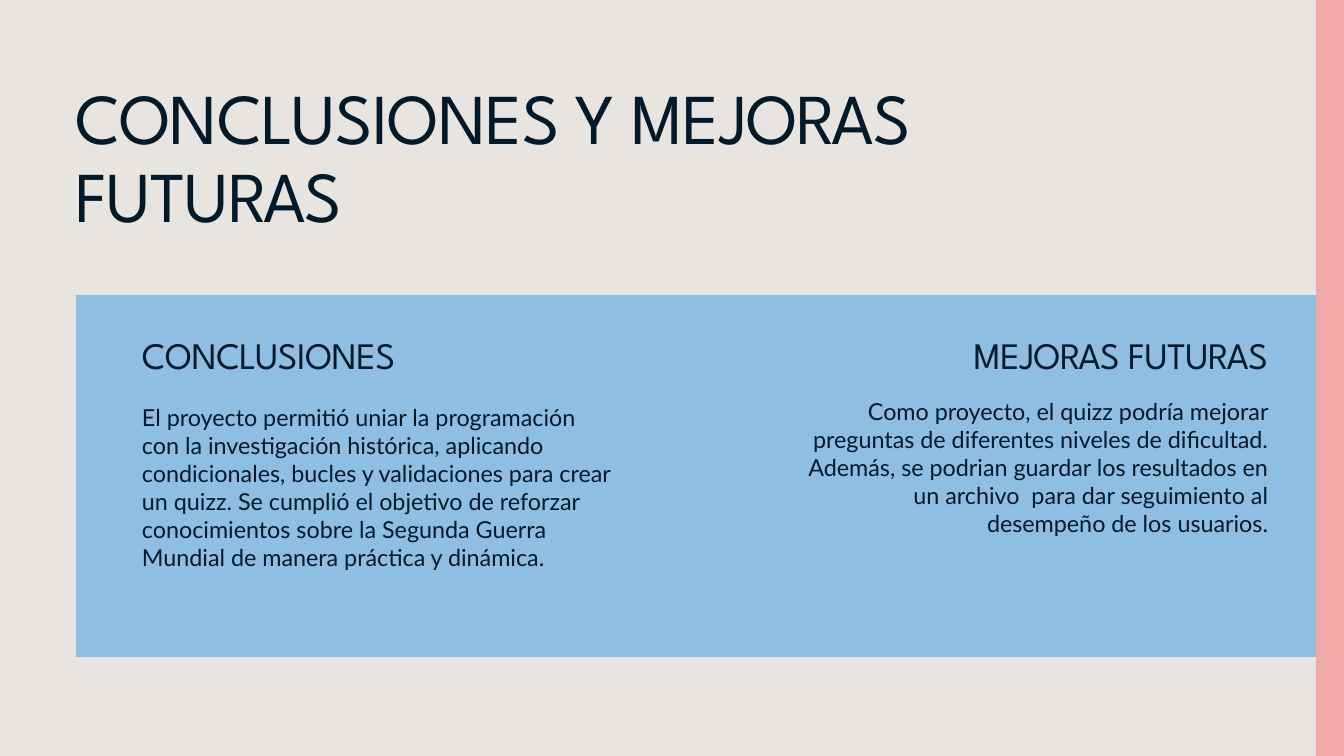
from pptx import Presentation
from pptx.dml.color import RGBColor
from pptx.enum.shapes import MSO_SHAPE as SHAPE
from pptx.enum.text import MSO_ANCHOR as ANCHOR, MSO_AUTO_SIZE as AUTO, PP_ALIGN as ALIGN
from pptx.util import Pt

SCALE = 914400 / 67.2
WIDTH, HEIGHT = 1344, 756
COLORS = {"paper": "E8E5E0", "panel": "8EBFE3", "stripe": "F1A9A9", "ink": "02192A"}
HEADING_FONT, BODY_FONT = "League Spartan", "Lato"


def px(n):
    return round(n * SCALE)


def rgb(name):
    return RGBColor.from_string(COLORS[name])


class SlideBuilder:
    def __init__(self, prs):
        self.s = prs.slides.add_slide(prs.slide_layouts[5])
        self.s.background.fill.solid()
        self.s.background.fill.fore_color.rgb = rgb("paper")

    def rect(self, x, y, w, h, color):
        sp = self.s.shapes.add_shape(SHAPE.RECTANGLE, px(x), px(y), px(w), px(h))
        sp.shadow.inherit = False
        sp.fill.solid()
        sp.fill.fore_color.rgb = rgb(color)
        sp.line.fill.background()

    def set_text(self, sp, text, font, size, leading, align, spacing):
        tf = sp.text_frame
        tf.word_wrap = True
        tf.auto_size = AUTO.NONE
        tf.vertical_anchor = ANCHOR.TOP
        tf.margin_left = tf.margin_right = tf.margin_top = tf.margin_bottom = 0
        tf.text = text
        p = tf.paragraphs[0]
        p.alignment = align
        p.line_spacing = Pt(leading)
        p.space_before = Pt(0)
        r = p.runs[0]
        r.font.name = font
        r.font.size = Pt(size)
        r.font.color.rgb = rgb("ink")
        if spacing:
            r._r.get_or_add_rPr().set("spc", str(spacing))

    def title(self, x, y, w, h, text):
        sp = self.s.shapes.title
        sp.left, sp.top, sp.width, sp.height = px(x), px(y), px(w), px(h)
        self.set_text(sp, text, HEADING_FONT, 76.6, 82.8, ALIGN.LEFT, -80)

    def heading(self, x, y, w, h, text, align):
        sp = self.s.shapes.add_textbox(px(x), px(y), px(w), px(h))
        self.set_text(sp, text, HEADING_FONT, 40, 43.2, align, -40)

    def body(self, x, y, w, h, text, align):
        sp = self.s.shapes.add_textbox(px(x), px(y), px(w), px(h))
        self.set_text(sp, text, BODY_FONT, 25, 30, align, 0)


def main():
    prs = Presentation()
    prs.slide_width, prs.slide_height = px(WIDTH), px(HEIGHT)
    b = SlideBuilder(prs)

    b.rect(76, 295, WIDTH - 76, 362, "panel")
    b.rect(1316, 0, WIDTH - 1316, HEIGHT, "stripe")
    b.title(75, 82, 878, 156, "CONCLUSIONES Y MEJORAS FUTURAS")

    columns = [
        (142, 142, 403, ALIGN.LEFT, "CONCLUSIONES",
         "El proyecto permitió uniar la programación con la investigación histórica, "
         "aplicando condicionales, bucles y validaciones para crear un quizz. Se cumplió "
         "el objetivo de reforzar conocimientos sobre la Segunda Guerra Mundial de manera "
         "práctica y dinámica."),
        (699, 798, 397, ALIGN.RIGHT, "MEJORAS FUTURAS",
         "Como proyecto, el quizz podría mejorar preguntas de diferentes niveles de "
         "dificultad. Además, se podrian guardar los resultados en un archivo  para dar "
         "seguimiento al desempeño de los usuarios."),
    ]
    for heading_x, body_x, body_y, align, heading, body in columns:
        b.heading(heading_x, 337, 569, 42, heading, align)
        b.body(body_x, body_y, 470, 191, body, align)

    prs.save("out.pptx")


if __name__ == "__main__":
    main()
